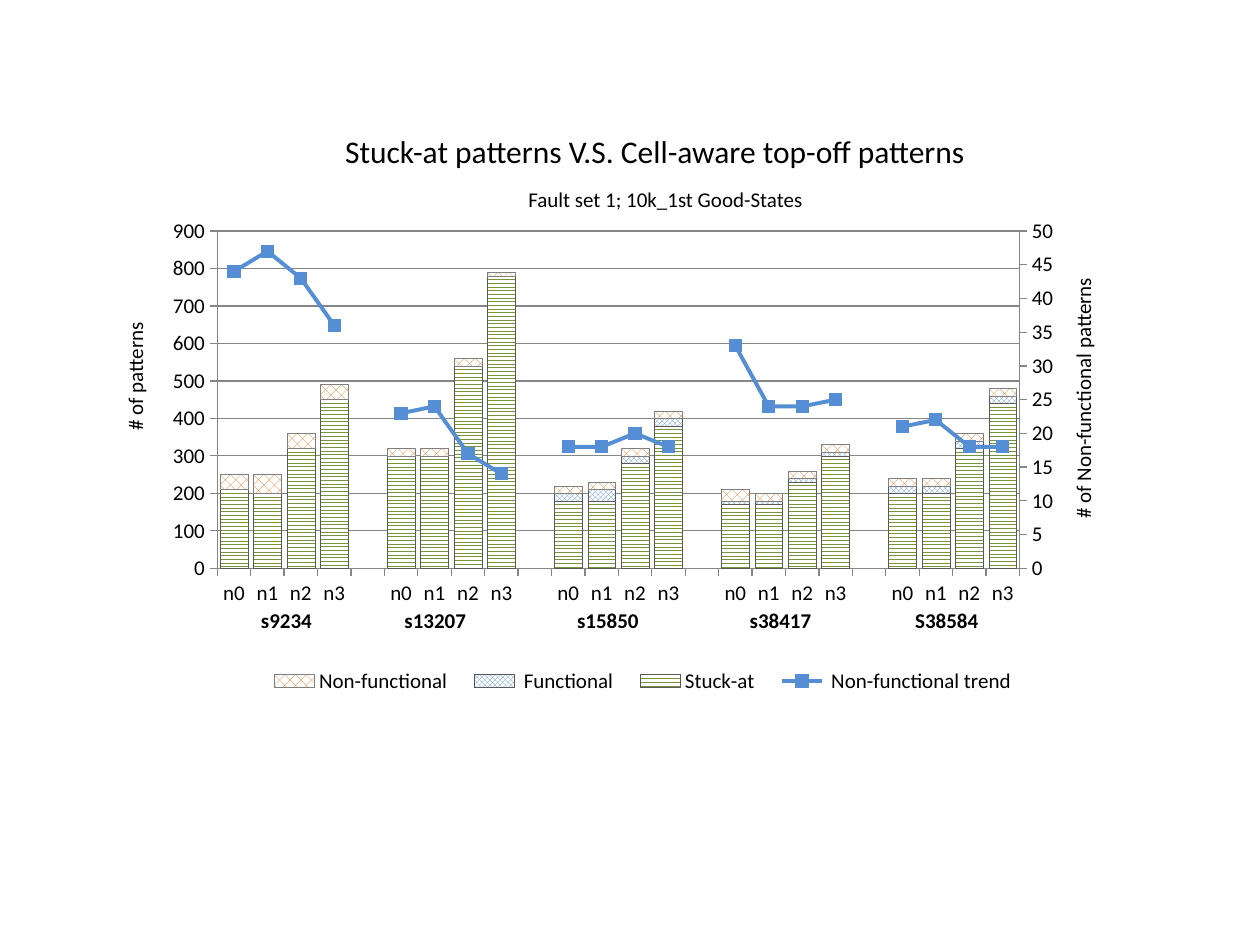
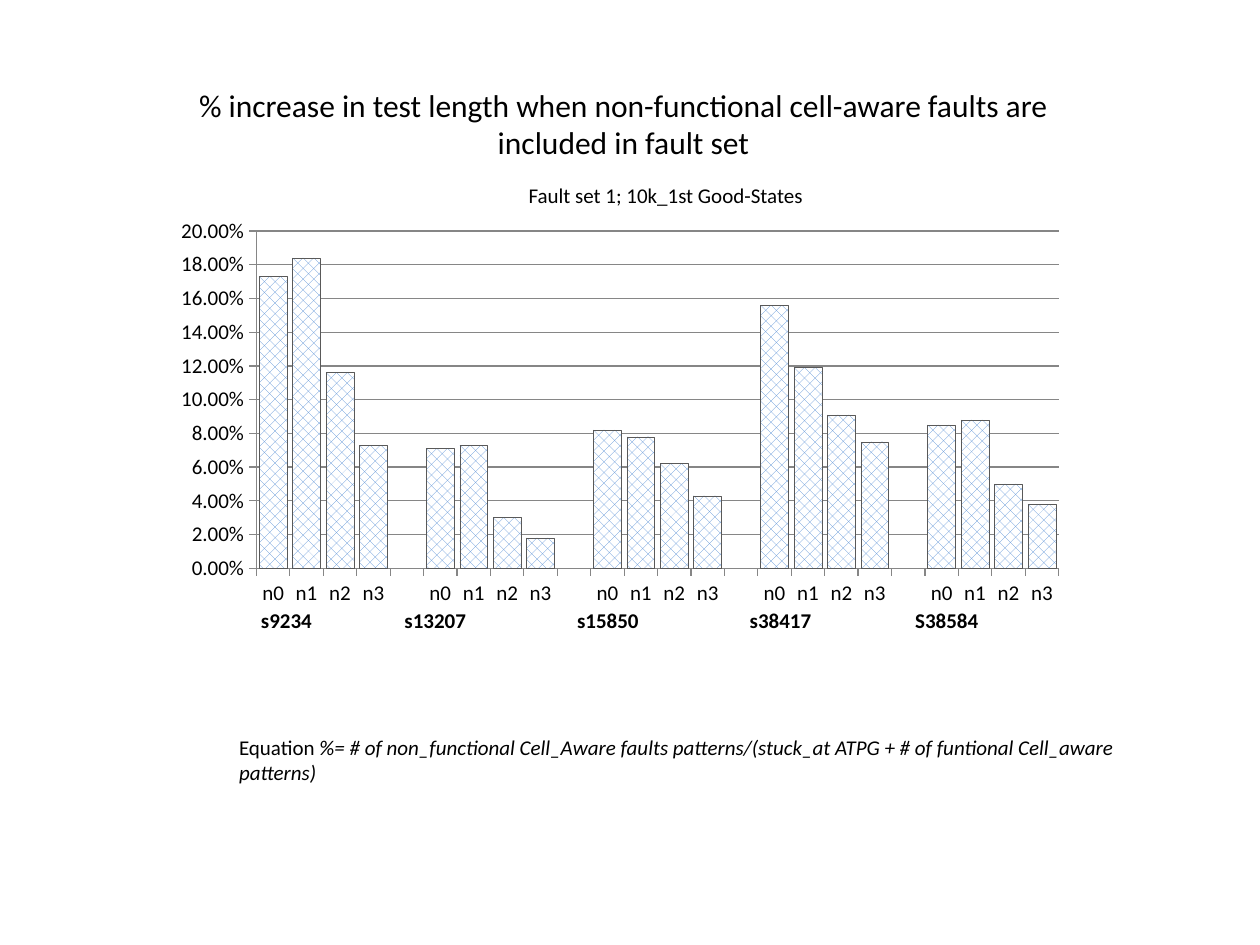
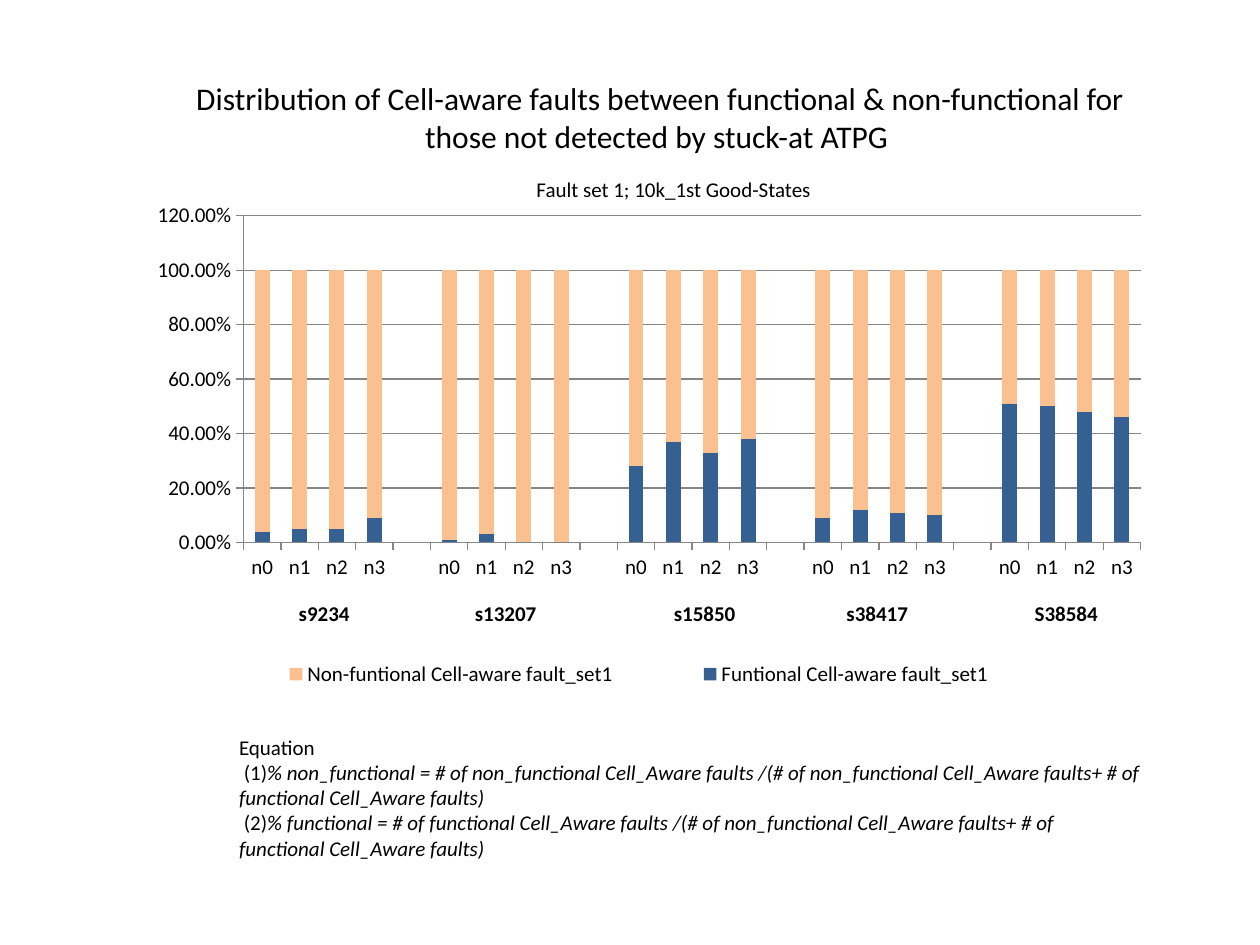
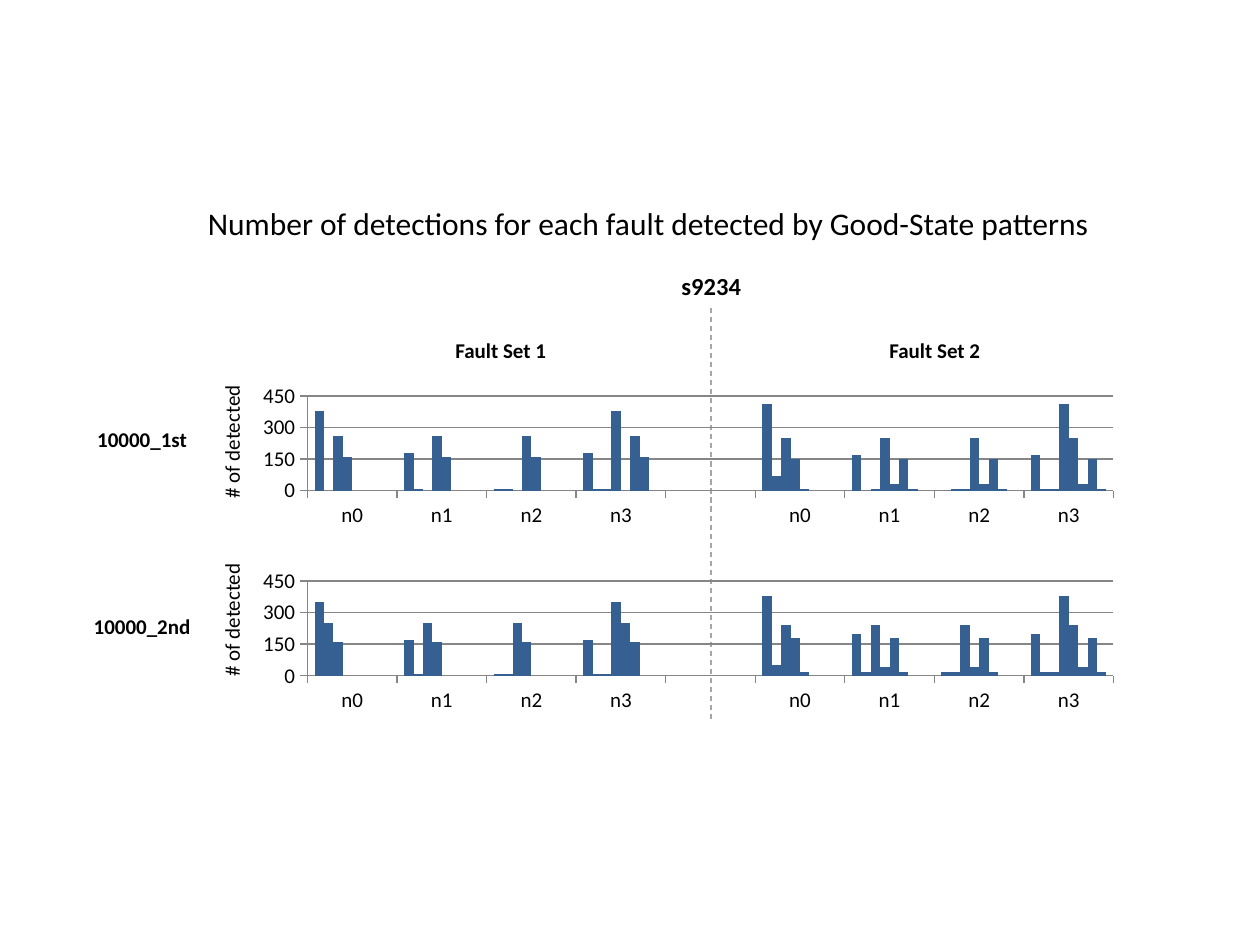
from itertools import zip_longest

from lxml import etree
from pptx import Presentation
from pptx.chart.data import CategoryChartData
from pptx.dml.color import RGBColor
from pptx.enum.chart import XL_CHART_TYPE, XL_LEGEND_POSITION, XL_MARKER_STYLE, XL_TICK_MARK
from pptx.enum.dml import MSO_LINE, MSO_PATTERN
from pptx.enum.shapes import MSO_CONNECTOR
from pptx.enum.text import MSO_ANCHOR, MSO_AUTO_SIZE, PP_ALIGN
from pptx.oxml import parse_xml
from pptx.oxml.ns import nsdecls, qn
from pptx.util import Cm, Pt

STACKED, CLUSTER = XL_CHART_TYPE.COLUMN_STACKED, XL_CHART_TYPE.COLUMN_CLUSTERED
RIGHT, SQUARE = XL_LEGEND_POSITION.RIGHT, XL_MARKER_STYLE.SQUARE
OUT, DASH = XL_TICK_MARK.OUTSIDE, MSO_LINE.DASH
ZIGZAG, TRELLIS, WEAVE = MSO_PATTERN.ZIG_ZAG, MSO_PATTERN.TRELLIS, MSO_PATTERN.WEAVE
STRAIGHT = MSO_CONNECTOR.STRAIGHT
TOP, GROW = MSO_ANCHOR.TOP, MSO_AUTO_SIZE.SHAPE_TO_FIT_TEXT
CENTER, LEFT = PP_ALIGN.CENTER, PP_ALIGN.LEFT

FONT = "Calibri"
COLORS = {
    "text": "000000", "back": "FFFFFF", "axis": "868686", "dash": "A6A6A6",
    "edge": "595959", "soft": "808080", "green": "77933C", "blue": "558ED5",
    "orange": "E46C0A", "navy": "376092", "peach": "FAC090",
}
LEVELS = ["n0", "n1", "n2", "n3"]
NAMES = ["s9234", "s13207", "s15850", "s38417", "S38584"]
STATES = "Fault set 1; 10k_1st Good-States "
WIDE = (0.113, 0.168, 0.805, 0.59)

STUCK = [[210, 200, 320, 450], [300, 300, 540, 780], [180, 180, 280, 380],
         [170, 170, 230, 300], [200, 200, 320, 440]]
FUNC = [[0] * 4, [0] * 4, [20, 30, 20, 20], [10] * 4, [20] * 4]
NONFUNC = [[40, 50, 40, 40], [20, 20, 20, 10], [20] * 4, [30, 20, 20, 20], [20] * 4]
TREND = [[44, 47, 43, 36], [23, 24, 17, 14], [18, 18, 20, 18],
         [33, 24, 24, 25], [21, 22, 18, 18]]
GROWTH = [[0.173, 0.184, 0.116, 0.073], [0.071, 0.073, 0.03, 0.018],
          [0.082, 0.078, 0.062, 0.043], [0.156, 0.119, 0.091, 0.075],
          [0.085, 0.088, 0.05, 0.038]]
SHARE = [[0.04, 0.05, 0.05, 0.09], [0.01, 0.03, 0, 0], [0.28, 0.37, 0.33, 0.38],
         [0.09, 0.12, 0.11, 0.1], [0.51, 0.5, 0.48, 0.46]]
# Bars of each level, for fault set 1, the gap and fault set 2
FIRST = [[380, 0, 260, 160], [180, 10, 0, 260, 160], [10, 10, 0, 260, 160],
         [180, 10, 10, 380, 0, 260, 160], [],
         [410, 70, 250, 150, 10], [170, 0, 10, 250, 30, 150, 10],
         [0, 10, 10, 250, 30, 150, 10], [170, 10, 10, 410, 250, 30, 150, 10]]
SECOND = [[350, 250, 160], [170, 10, 250, 160], [10, 10, 250, 160],
          [170, 10, 10, 350, 250, 160], [],
          [380, 50, 240, 180, 20], [200, 20, 240, 40, 180, 20],
          [20, 20, 240, 40, 180, 20], [200, 20, 20, 380, 240, 40, 180, 20]]


def color(name):
    return RGBColor.from_string(COLORS[name])


def put(thing, **values):
    for key, value in values.items():
        setattr(thing, key, value)


def stroke(line, name, width):
    line.color.rgb = color(name)
    line.width = Pt(width)


def spread(groups, gap=None):
    """Join the groups into one list with a gap between neighbours."""
    flat = list(groups[0])
    for group in groups[1:]:
        flat += [gap, *group]
    return flat


def write(frame, paras, size, bold, align):
    """Fill a frame; each paragraph is a list of (words, italic) runs."""
    put(frame, word_wrap=True, auto_size=GROW, vertical_anchor=TOP)
    for i, runs in enumerate(paras):
        para = frame.add_paragraph() if i else frame.paragraphs[0]
        para.alignment = align
        for words, slant in runs:
            run = para.add_run()
            run.text = words
            put(run.font, name=FONT, size=Pt(size), bold=bold, italic=slant)
            run.font.color.rgb = color("text")


def title(slide, words, left, top, width, height):
    shape = slide.shapes.title
    put(shape, left=Cm(left), top=Cm(top), width=Cm(width), height=Cm(height))
    write(shape.text_frame, [[(words, False)]], 18, False, CENTER)


def label(slide, text, left, top, width, height=0.76, size=12, bold=False, turn=0, align=CENTER):
    box = slide.shapes.add_textbox(Cm(left), Cm(top), Cm(width), Cm(height))
    box.rotation = turn
    paras = [[(text, False)]] if isinstance(text, str) else text
    write(box.text_frame, paras, size, bold, align)


def names(slide, lefts, top):
    for name, left in zip(NAMES, lefts):
        label(slide, name, left, top, 2.41, bold=True)


def layout(parent, spot, inner=False):
    """Give a plot area or legend a fixed place, in shares of the chart."""
    for old in parent.findall(qn("c:layout")):
        parent.remove(old)
    node = parse_xml(f"<c:layout {nsdecls('c')}><c:manualLayout/></c:layout>")
    tags = [("layoutTarget", "inner")] if inner else []
    tags += [("xMode", "edge"), ("yMode", "edge"), *zip("xywh", spot)]
    for tag, value in tags:
        etree.SubElement(node[0], qn("c:" + tag), val=str(value))
    parent.insert(0 if inner else 1, node)


def paint(series, look):
    """Fill with a colour, or with a (pattern, colour, edge colour)."""
    fill = series.format.fill
    if isinstance(look, str):
        fill.solid()
        fill.fore_color.rgb = color(look)
        return
    pattern, fore, edge = look
    fill.patterned()
    fill.pattern = pattern
    fill.fore_color.rgb = color(fore)
    fill.back_color.rgb = color("back")
    stroke(series.format.line, edge, 0.25)


def columns(slide, box, kind, cats, rows, plot, top, unit, gap, form=None):
    """Add a column chart; each row is (name, values, look)."""
    data = CategoryChartData()
    data.categories = cats
    for name, values, _ in rows:
        data.add_series(name, values)
    chart = slide.shapes.add_chart(kind, *map(Cm, box), data).chart
    put(chart, has_title=False, has_legend=False)
    put(chart.font, name=FONT, size=Pt(12))
    chart.font.color.rgb = color("text")
    clear = parse_xml(f"<c:spPr {nsdecls('c', 'a')}><a:noFill/><a:ln><a:noFill/></a:ln></c:spPr>")
    chart.element.find(qn("c:txPr")).addprevious(clear)
    layout(chart.element.find(".//" + qn("c:plotArea")), plot, True)

    put(chart.plots[0], gap_width=gap, vary_by_categories=False,
        overlap=100 if kind == STACKED else 0)
    for series, (_, _, look) in zip(chart.plots[0].series, rows):
        series.invert_if_negative = False
        if look:
            paint(series, look)

    axis = chart.value_axis
    put(axis, minimum_scale=0, maximum_scale=top, major_unit=unit, has_major_gridlines=True)
    stroke(axis.major_gridlines.format.line, "axis", 0.75)
    if form:
        put(axis.tick_labels, number_format=form, number_format_is_linked=False)
    for each in (axis, chart.category_axis):
        each.major_tick_mark = OUT
        stroke(each.format.line, "axis", 0.75)
    return chart


def legend(chart, spot):
    chart.has_legend = True
    put(chart.legend, position=RIGHT, include_in_layout=False)
    layout(chart.element.find(".//" + qn("c:legend")), spot)


def trend(chart, top, unit):
    """Turn the last column series into a line on a right-hand axis."""
    bars = chart.element.find(".//" + qn("c:barChart"))
    last = bars.findall(qn("c:ser"))[-1]
    last.remove(last.find(qn("c:invertIfNegative")))
    line = parse_xml(
        f"<c:lineChart {nsdecls('c')}><c:grouping val='standard'/><c:varyColors val='0'/>"
        "<c:marker val='1'/><c:axId val='501'/><c:axId val='502'/></c:lineChart>")
    line.insert(2, last)
    bars.addnext(line)

    axes = parse_xml(f"""<c:plotArea {nsdecls('c', 'a')}>
      <c:valAx><c:axId val="502"/>
        <c:scaling><c:orientation val="minMax"/><c:max val="{top}"/><c:min val="0"/></c:scaling>
        <c:delete val="0"/><c:axPos val="r"/><c:numFmt formatCode="General" sourceLinked="0"/>
        <c:majorTickMark val="out"/><c:minorTickMark val="none"/><c:tickLblPos val="nextTo"/>
        <c:spPr><a:ln w="9525"><a:solidFill><a:srgbClr val="{COLORS['axis']}"/></a:solidFill></a:ln></c:spPr>
        <c:crossAx val="501"/><c:crosses val="max"/><c:majorUnit val="{unit}"/></c:valAx>
      <c:catAx><c:axId val="501"/><c:scaling><c:orientation val="minMax"/></c:scaling>
        <c:delete val="1"/><c:axPos val="b"/><c:crossAx val="502"/></c:catAx>
      </c:plotArea>""")
    spot = chart.element.find(".//" + qn("c:valAx"))
    for axis in reversed(list(axes)):
        spot.addnext(axis)

    series = chart.plots[1].series[0]
    series.smooth = False
    stroke(series.format.line, "blue", 2.25)
    put(series.marker, style=SQUARE, size=7)
    series.marker.format.fill.solid()
    series.marker.format.fill.fore_color.rgb = color("blue")
    stroke(series.marker.format.line, "blue", 0.75)


def divider(slide, x, start, end):
    line = slide.shapes.add_connector(STRAIGHT, Cm(x), Cm(start), Cm(x), Cm(end))
    stroke(line.line, "dash", 0.75)
    line.line.dash_style = DASH
    etree.SubElement(line.element.spPr, qn("a:effectLst"))


def patterns(slide, cats):
    title(slide, "Stuck-at patterns V.S. Cell-aware top-off patterns", 4.57, 2.54, 17.27, 1.02)
    rows = [("Stuck-at", spread(STUCK), (ZIGZAG, "green", "edge")),
            (" Functional", spread(FUNC), (TRELLIS, "blue", "edge")),
            ("Non-functional", spread(NONFUNC), (WEAVE, "orange", "soft")),
            (" Non-functional trend", spread(TREND), None)]
    chart = columns(slide, (2.11, 2.72, 20.09, 11.53), STACKED, cats, rows, WIDE, 900, 100, 20)
    trend(chart, 50, 5)
    legend(chart, (0.15, 0.92, 0.78, 0.07))
    names(slide, (4.57, 7.57, 11.05, 14.53, 17.88), 12.12)
    label(slide, STATES, 7.52, 3.63, 11.89)
    label(slide, "# of patterns", 0.46, 7.21, 4.52, turn=270)
    label(slide, "# of Non-functional patterns", 16.43, 7.65, 10.8, turn=270)


def increase(slide, cats):
    title(slide, "% increase in test length when non-functional cell-aware faults are "
          "included in fault set", 3.63, 1.6, 17.88, 1.8)
    rows = [("Series 1", spread(GROWTH), (WEAVE, "blue", "edge"))]
    columns(slide, (2.9, 2.72, 20.09, 11.53), STACKED, cats, rows, WIDE, 0.2, 0.02, 20, "0.00%")
    names(slide, (4.57, 7.57, 11.05, 14.53, 17.88), 12.12)
    label(slide, STATES, 10.13, 3.56, 6.68)
    rule = ("%= # of non_functional Cell_Aware faults patterns/"
            "(stuck_at ATPG + # of funtional Cell_aware patterns)")
    label(slide, [[("Equation ", False), (rule, True)]], 4.57, 14.68, 18.72, 1.27, align=LEFT)


def shares(slide, cats):
    title(slide, "Distribution of Cell-aware faults between functional & non-functional for "
          "those not detected by stuck-at ATPG ", 3.25, 1.47, 20.12, 1.8)
    rest = [[round(1 - part, 2) for part in group] for group in SHARE]
    rows = [("Funtional Cell-aware fault_set1", spread(SHARE), "navy"),
            ("Non-funtional Cell-aware fault_set1", spread(rest), "peach")]
    chart = columns(slide, (2.18, 3.89, 21.84, 11.28), STACKED, cats, rows,
                    (0.125, 0.041, 0.828, 0.584), 1.2, 0.2, 150, "0.00%")
    legend(chart, (0.09, 0.82, 0.8, 0.08))
    names(slide, (5.33, 8.99, 13, 16.48, 20.29), 11.99)
    label(slide, STATES, 10.29, 3.43, 6.68)
    paras = [[("Equation", False)]]
    for i, kind in enumerate(("non_functional", "functional"), 1):
        rule = (f"% {kind} = # of {kind} Cell_Aware faults /(# of non_functional "
                "Cell_Aware faults+ # of functional Cell_Aware faults)")
        paras.append([(f" ({i})", False), (rule, True)])
    label(slide, paras, 4.57, 14.68, 18.72, 2.82, align=LEFT)


def detections(slide):
    title(slide, "Number of detections for each fault detected by Good-State patterns",
          3.43, 3.99, 19.28, 1.02)
    label(slide, "Fault Set 1", 8.43, 6.68, 3.33, 0.71, bold=True)
    label(slide, "Fault Set 2", 17.22, 6.68, 3.25, 0.71, bold=True)
    divider(slide, 14.33, 14.5, 6.2)
    cats = spread([LEVELS] * 2, "")
    for name, bars, top, middle, side in (("10000_1st", FIRST, 7.7, 8.48, 8.53),
                                          ("10000_2nd", SECOND, 11.43, 12.24, 12.12)):
        rows = [(f"Series {i}", values, "navy")
                for i, values in enumerate(zip_longest(*bars), 1)]
        columns(slide, (4.17, top, 18.29, 3.1), CLUSTER, cats, rows,
                (0.111, 0.091, 0.889, 0.617), 450, 150, 150)
        label(slide, name, 1.57, middle, 2.59, bold=True)
        label(slide, "# of detected", 2.41, side, 4.52, turn=270)
    label(slide, "s9234", 11.38, 5.33, 5.92, 0.86, size=14, bold=True)


def main():
    deck = Presentation()
    put(deck, slide_width=Cm(25.4), slide_height=Cm(19.05))
    plain = deck.slide_layouts[5]
    cats = spread([LEVELS] * len(NAMES), "")
    for build in (patterns, increase, shares):
        build(deck.slides.add_slide(plain), cats)
    detections(deck.slides.add_slide(plain))
    deck.save("out.pptx")


if __name__ == "__main__":
    main()
